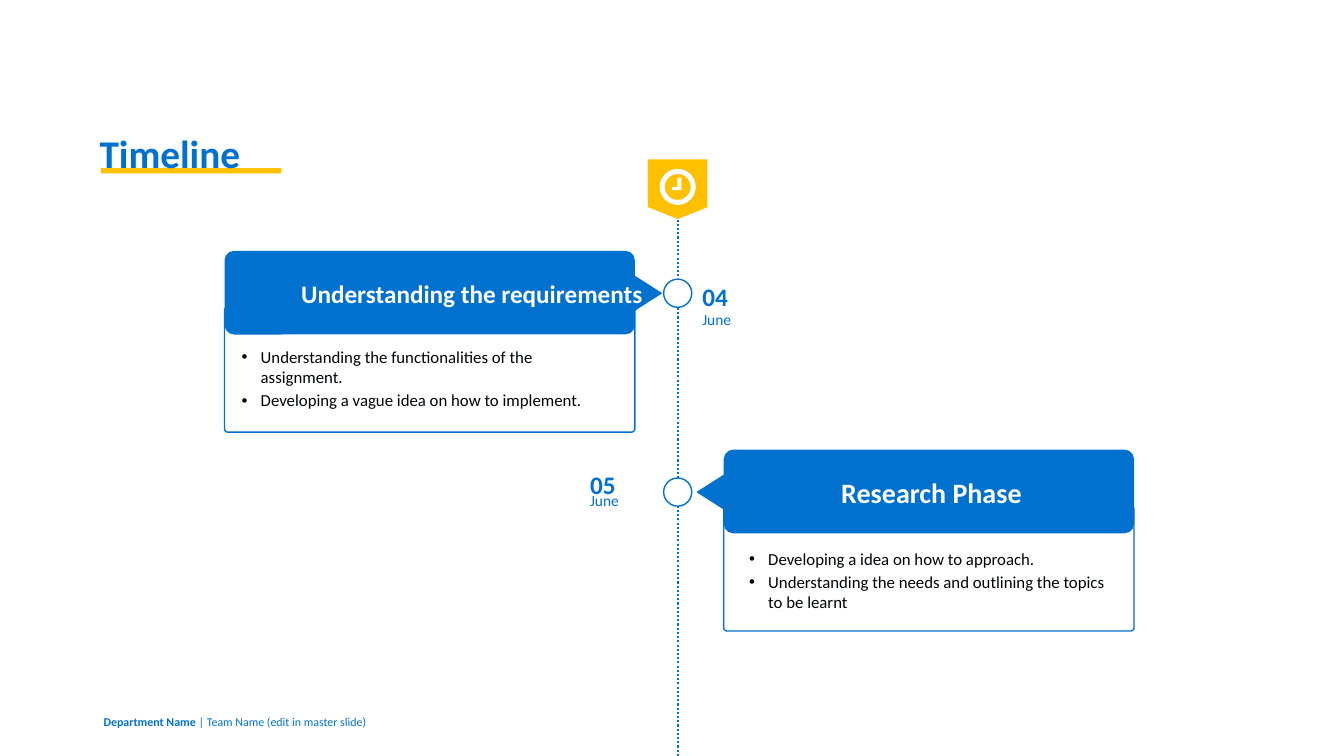
from dataclasses import dataclass

from lxml.etree import SubElement
from pptx import Presentation
from pptx.dml.color import RGBColor
from pptx.enum.dml import MSO_LINE
from pptx.enum.shapes import MSO_CONNECTOR, MSO_SHAPE as SHAPE
from pptx.enum.text import MSO_ANCHOR as ANCHOR, MSO_AUTO_SIZE, PP_ALIGN as ALIGN
from pptx.oxml.ns import qn
from pptx.util import Cm, Pt


@dataclass(frozen=True)
class Theme:
    font: str = "Calibri"
    blue: str = "0071CE"
    yellow: str = "FFC000"
    white: str = "FFFFFF"
    ink: str = "000306"
    title: float = 28
    day: float = 18
    month: float = 11
    body: float = 12
    footer: float = 8.5


T = Theme()
SLIDE_W, SLIDE_H = 33.87, 19.05
AXIS_X = 17.08
CARD_W, HEAD_H = 10.34, 2.11
MARK_DY = 1.07  # from a card's top to the middle of its marker

STEPS = [
    dict(box=(5.66, 6.32), points_right=True, heading="Understanding the requirements",
         heading_size=18, heading_box=(1.93, 8.7), heading_align=ALIGN.LEFT,
         list_at=(0.43, 2.41), day="04", month="June", date_x=17.7, date_dy=(0.08, 0.65),
         items=["Understanding the functionalities of the assignment.",
                "Developing a vague idea on how to implement."]),
    dict(box=(18.24, 11.33), points_right=False, heading="Research Phase",
         heading_size=20, heading_box=(1.19, 6.32), heading_align=ALIGN.RIGHT,
         list_at=(0.64, 2.49), day="05", month="June", date_x=14.87, date_dy=(-0.18, 0.2),
         items=["Developing a idea on how to approach.",
                "Understanding the needs and outlining the topics to be learnt"]),
]


def rgb(color):
    return RGBColor.from_string(color)


def place(sp, x, y, w, h):
    sp.left, sp.top, sp.width, sp.height = Cm(x), Cm(y), Cm(w), Cm(h)


def paint(sp, fill, line=None):
    sp.shadow.inherit = False
    sp.fill.solid()
    sp.fill.fore_color.rgb = rgb(fill)
    if line:
        sp.line.color.rgb = rgb(line)
        sp.line.width = Pt(1)
    else:
        sp.line.fill.background()


def add_shape(s, kind, x, y, w, h, fill, line=None, adj=None):
    sp = s.shapes.add_shape(kind, Cm(x), Cm(y), Cm(w), Cm(h))
    paint(sp, fill, line)
    if adj is not None:
        sp.adjustments[0] = adj
    return sp


def setup_frame(tf, anchor=ANCHOR.MIDDLE, inset=0.0):
    tf.word_wrap = True
    tf.auto_size = MSO_AUTO_SIZE.NONE
    tf.vertical_anchor = anchor
    tf.margin_left = tf.margin_right = Cm(inset)
    tf.margin_top = tf.margin_bottom = Cm(inset / 2)


def add_run(p, text, size, color=T.blue, bold=False):
    r = p.add_run()
    r.text = text
    r.font.name, r.font.size, r.font.bold = T.font, Pt(size), bold
    r.font.color.rgb = rgb(color)


def add_text(s, text, x, y, w, h, align=ALIGN.LEFT, inset=0.0, **fmt):
    """Add a one-paragraph text box and return its paragraph."""
    tf = s.shapes.add_textbox(Cm(x), Cm(y), Cm(w), Cm(h)).text_frame
    setup_frame(tf, inset=inset)
    p = tf.paragraphs[0]
    p.alignment = align
    add_run(p, text, **fmt)
    return p


def bring_to_front(s, sp):
    s.shapes.element.append(sp.element)


def add_title(s, x, y):
    add_shape(s, SHAPE.RECTANGLE, x + 0.28, y + 2.67, 4.55, 0.13, T.yellow)
    title = s.shapes.title
    place(title, x, y, 10.57, 3)
    setup_frame(title.text_frame, ANCHOR.BOTTOM, inset=0.25)
    p = title.text_frame.paragraphs[0]
    p.alignment = ALIGN.LEFT
    add_run(p, "Timeline", T.title, bold=True)
    bring_to_front(s, title)


def add_axis(s, y, size):
    """Draw the clock pin at y and the dotted line from it to the slide's foot."""
    pin = add_shape(s, SHAPE.FLOWCHART_OFFPAGE_CONNECTOR,
                    AXIS_X - size / 2, y, size, size, T.yellow)
    ring, cy = 0.91, y + 0.69
    add_shape(s, SHAPE.DONUT, AXIS_X - ring / 2, cy - ring / 2, ring, ring,
              T.white, adj=0.14)
    hands = [(Cm(AXIS_X + dx), Cm(cy + dy)) for dx, dy in
             [(-0.01, -0.23), (0.09, -0.23), (0.09, 0.08),
              (-0.14, 0.08), (-0.14, 0), (-0.01, 0)]]
    fb = s.shapes.build_freeform(*hands[0])
    fb.add_line_segments(hands[1:])
    paint(fb.convert_to_shape(), T.white)

    line = s.shapes.add_connector(MSO_CONNECTOR.STRAIGHT, Cm(AXIS_X), Cm(SLIDE_H),
                                  Cm(AXIS_X), Cm(y + size))
    line.end_connect(pin, 2)
    line.line.color.rgb = rgb(T.blue)
    line.line.width = Pt(1.5)
    line.line.dash_style = MSO_LINE.ROUND_DOT
    SubElement(line.element.spPr, qn("a:effectLst"))


def fill_list(body, items):
    tf = body.text_frame
    setup_frame(tf, ANCHOR.TOP)
    for i, item in enumerate(items):
        p = tf.add_paragraph() if i else tf.paragraphs[0]
        pPr = p._p.get_or_add_pPr()
        pPr.set("marL", str(Cm(0.48)))
        pPr.set("indent", str(-Cm(0.48)))
        SubElement(pPr, qn("a:buFont"), typeface="Arial")
        SubElement(pPr, qn("a:buChar"), char="•")
        p.alignment = ALIGN.LEFT
        p.space_before = Pt(2.4 if i else 0)
        add_run(p, item, T.body, color=T.ink)


def add_card(s, body, step):
    x, y = step["box"]
    add_shape(s, SHAPE.ROUNDED_RECTANGLE, x, y + 1.42, CARD_W, 3.15,
              T.white, line=T.blue, adj=0.025)
    add_shape(s, SHAPE.ROUNDED_RECTANGLE, x, y, CARD_W, HEAD_H, T.blue, adj=0.113)

    tip_w, tip_h = 1.3, 1.02
    tip_x = x + CARD_W + 0.18 if step["points_right"] else x - 0.18
    tip = add_shape(s, SHAPE.ISOSCELES_TRIANGLE, tip_x - tip_w / 2,
                    y + MARK_DY - tip_h / 2, tip_w, tip_h, T.blue)
    tip.rotation = 90 if step["points_right"] else 270

    dx, w = step["heading_box"]
    add_text(s, step["heading"], x + dx, y + MARK_DY - 0.43, w, 0.86,
             align=step["heading_align"], size=step["heading_size"],
             color=T.white, bold=True)
    dx, dy = step["list_at"]
    place(body, x + dx, y + dy, 9.2, 1.9)
    fill_list(body, step["items"])
    bring_to_front(s, body)


def add_marker(s, step):
    """Draw the step's circle on the axis and its date beside it."""
    cy, size = step["box"][1] + MARK_DY, 0.71
    add_shape(s, SHAPE.OVAL, AXIS_X - size / 2, cy - size / 2, size, size,
              T.white, line=T.blue)
    x, (day_dy, month_dy) = step["date_x"], step["date_dy"]
    add_text(s, step["day"], x, cy + day_dy - 0.38, 0.8, 0.76, size=T.day, bold=True)
    add_text(s, step["month"], x, cy + month_dy - 0.24, 0.8, 0.48, size=T.month)


def add_footer(s, x, y):
    p = add_text(s, "Department Name", x, y, 8.84, 0.61, inset=0.25,
                 size=T.footer, bold=True)
    add_run(p, " | Team Name (edit in master slide)", T.footer)


def main():
    prs = Presentation()
    prs.slide_width, prs.slide_height = Cm(SLIDE_W), Cm(SLIDE_H)
    s = prs.slides.add_slide(prs.slide_layouts.get_by_name("Two Content"))
    add_title(s, 2.26, 1.57)
    add_axis(s, 4.02, 1.5)
    for idx, step in enumerate(STEPS, start=1):
        add_card(s, s.placeholders[idx], step)
        add_marker(s, step)
    add_footer(s, 2.36, 17.88)
    prs.save("out.pptx")


if __name__ == "__main__":
    main()
